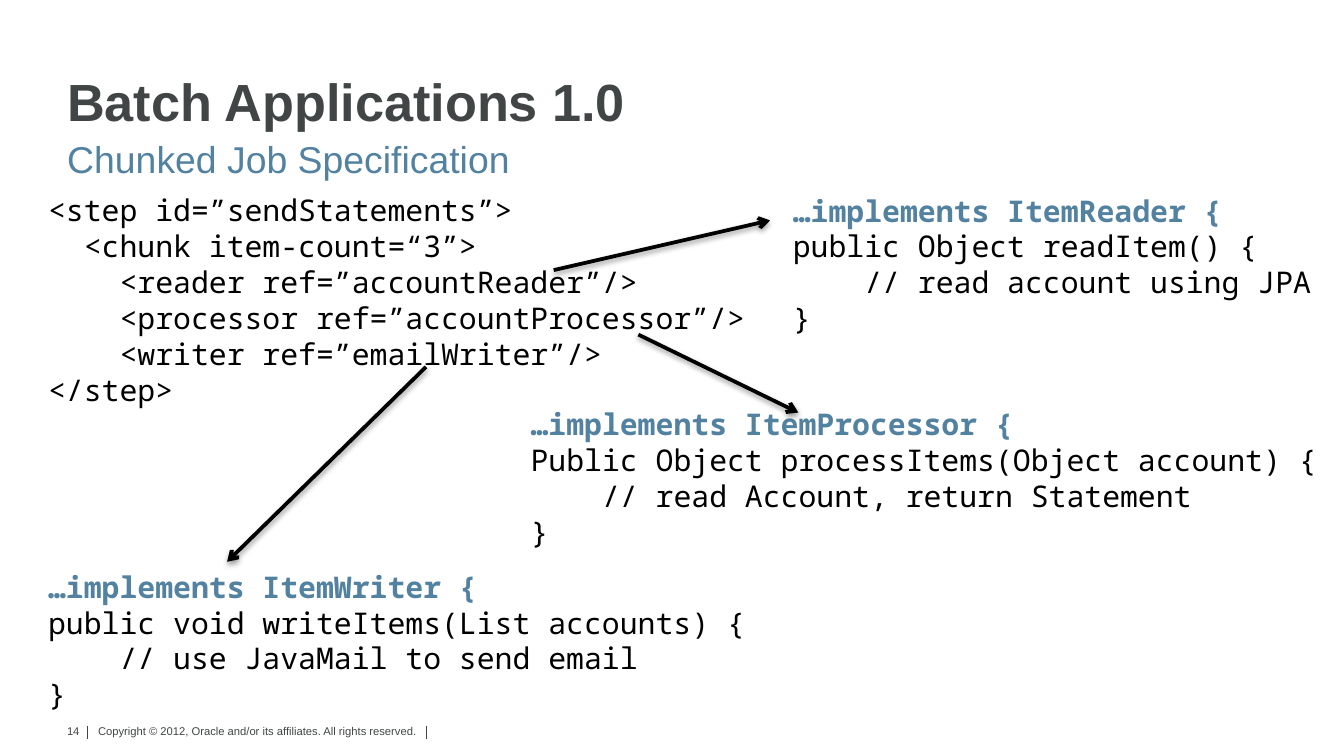
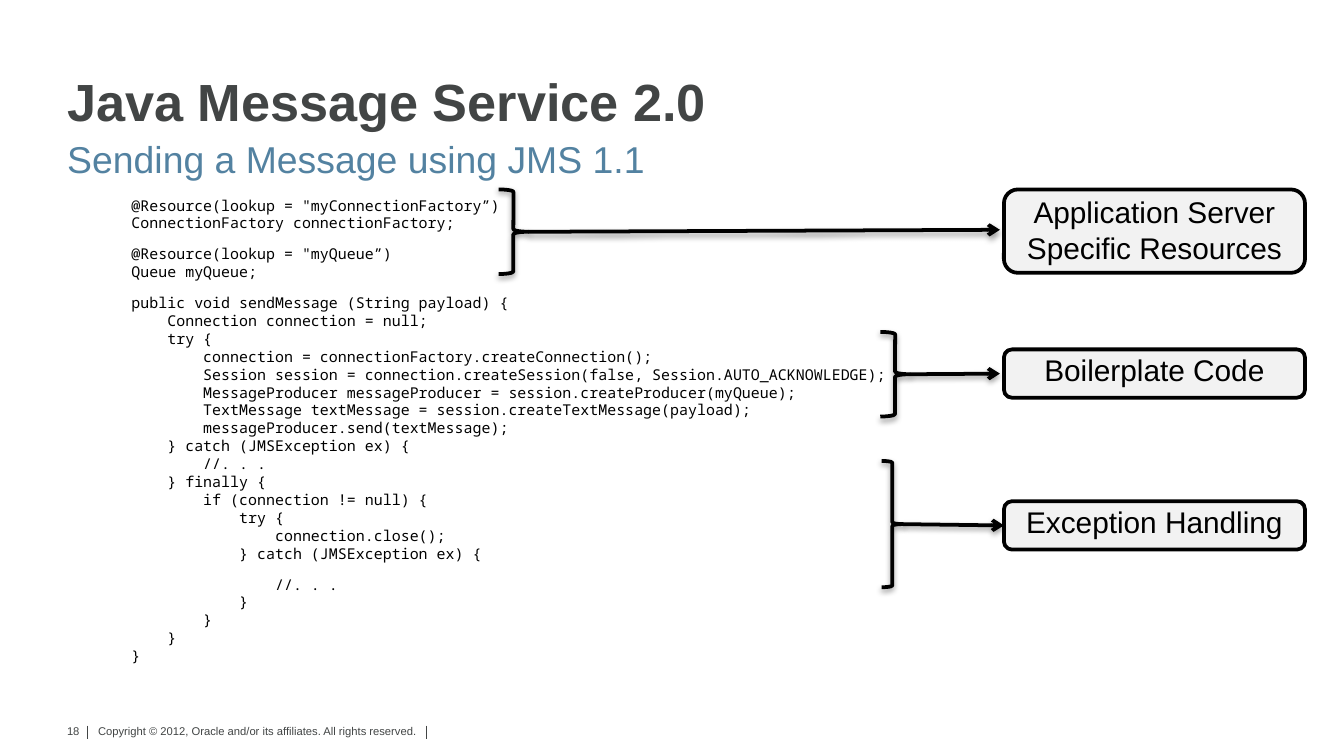
from collections import namedtuple
from copy import deepcopy
from dataclasses import dataclass

from lxml import etree
from pptx import Presentation
from pptx.dml.color import RGBColor
from pptx.enum.shapes import MSO_CONNECTOR as Connector, MSO_SHAPE as Shape
from pptx.enum.text import MSO_ANCHOR as Anchor, MSO_AUTO_SIZE as AutoSize, PP_ALIGN as Align
from pptx.oxml import parse_xml
from pptx.oxml.ns import qn
from pptx.util import Inches, Pt

Box = namedtuple("Box", "left top width height")
Style = namedtuple("Style", "font size color bold", defaults=[False])

DRAWING_NS = "http://schemas.openxmlformats.org/drawingml/2006/main"
SHADOW = f"""<a:effectLst xmlns:a="{DRAWING_NS}">
  <a:outerShdw blurRad="{Pt(3.1)}" dist="{Pt(1.6)}" dir="5400000" rotWithShape="0">
    <a:srgbClr val="000000"><a:alpha val="38000"/></a:srgbClr>
  </a:outerShdw>
</a:effectLst>"""


@dataclass(frozen=True)
class Theme:
    ink: str = "000000"
    grey: str = "424545"
    panel: str = "F2F2F2"
    stroke: float = 2
    hairline: float = 0.5
    title: Style = Style("Arial", 28, "424545", True)
    subtitle: Style = Style("Arial", 20, "5382A1")
    footer: Style = Style("Arial", 6, "424545")
    label: Style = Style("Arial", 16, "000000")
    code: Style = Style("Noto Sans Mono", 16, "000000")
    code_heading: Style = Style("Noto Sans Mono", 16, "5382A1", True)
    small_code: Style = Style("Noto Sans Mono", 8, "000000")


THEME = Theme()
PAGE_WIDTH = 10
PAGE_HEIGHT = PAGE_WIDTH * 9 / 16
STANDARD_INSETS = (0.1, 0.05, 0.1, 0.05)
NO_INSETS = (0, 0, 0, 0)


# Shared text helpers
def inches(box):
    return [Inches(length) for length in box]


def set_insets(frame, insets):
    (frame.margin_left, frame.margin_top,
     frame.margin_right, frame.margin_bottom) = inches(insets)


def add_text(para, text, style):
    """Add one run per line, with line breaks of the same size between them."""
    for number, line in enumerate(text.split("\n")):
        if number:
            para.add_line_break()
        span = para.add_run()
        span.text = line
        span.font.name = style.font
        span.font.size = Pt(style.size)
        span.font.bold = style.bold
        span.font.color.rgb = RGBColor.from_string(style.color)
    for line_break in para._p.findall(qn("a:br")):
        if line_break.find(qn("a:rPr")) is None:
            line_break.append(deepcopy(span._r.rPr))


def write_paragraphs(frame, entries, before=0, after=0):
    """Write one paragraph for each list of (text, style) pieces."""
    for number, pieces in enumerate(entries):
        para = frame.add_paragraph() if number else frame.paragraphs[0]
        para.space_before = Pt(before if number else 0)
        para.space_after = Pt(after)
        for text, style in pieces:
            add_text(para, text, style)


def add_text_box(page, box, entries, insets=STANDARD_INSETS, wrap=True, before=0, after=0):
    frame = page.shapes.add_textbox(*inches(box)).text_frame
    frame.word_wrap = wrap
    set_insets(frame, insets)
    write_paragraphs(frame, entries, before, after)
    return frame


# Shared line helpers
def set_effects(shape, effects):
    properties = shape._element.spPr
    for old in properties.findall(qn("a:effectLst")):
        properties.remove(old)
    properties.append(effects)


def add_line(page, start, end, color, width):
    line = page.shapes.add_connector(Connector.STRAIGHT, *inches(start + end))
    line.line.color.rgb = RGBColor.from_string(color)
    line.line.width = Pt(width)
    set_effects(line, etree.Element(qn("a:effectLst")))
    return line


def add_arrow(page, start, end):
    arrow = add_line(page, start, end, THEME.ink, THEME.stroke)
    etree.SubElement(arrow.line._get_or_add_ln(), qn("a:tailEnd"), type="arrow")
    set_effects(arrow, parse_xml(SHADOW))


# Title and subtitle
def fill_heading(holder, box, text, style, anchor, spacing):
    holder.left, holder.top, holder.width, holder.height = inches(box)
    frame = holder.text_frame
    frame.word_wrap = True
    frame.auto_size = AutoSize.NONE
    frame.vertical_anchor = anchor
    set_insets(frame, NO_INSETS)
    para = frame.paragraphs[0]
    para.alignment = Align.LEFT
    para.line_spacing = spacing
    para.space_before = Pt(0)
    properties = para._p.get_or_add_pPr()
    properties.set("marL", "0")
    properties.set("indent", "0")
    etree.SubElement(properties, qn("a:buNone"))
    add_text(para, text, style)


def add_headings(page, box, title, subtitle):
    fill_heading(page.shapes.title, Box(box.left, box.top, box.width, 0.46),
                 title, THEME.title, Anchor.BOTTOM, 0.9)
    fill_heading(page.placeholders[1], Box(box.left, box.top + 0.48, box.width, 0.33),
                 subtitle, THEME.subtitle, Anchor.TOP, 1.0)


# Footer with page number, dividers and copyright line
def add_footer(page, box, number):
    frame = add_text_box(page, Box(box.left, box.top, 0.3, 0.2),
                         [[(str(number), THEME.footer)]], wrap=False)
    frame.paragraphs[0].alignment = Align.RIGHT
    notice = "Copyright © 2012, Oracle and/or its affiliates. All rights reserved."
    add_text_box(page, Box(box.left + 0.3, box.top + 0.03, 2.74, 0.24),
                 [[(notice, THEME.footer)]], insets=(0.04, 0.02, 0.04, 0.02))
    for offset in (0.26, 2.78):
        x = box.left + offset
        add_line(page, (x, box.top + 0.06), (x, box.top + 0.16), THEME.grey, THEME.hairline)


def add_page(deck, title, subtitle, number):
    page = deck.slides.add_slide(deck.slide_layouts[1])
    add_headings(page, Box(0.5, 0.53, 9, 0.81), title, subtitle)
    add_footer(page, Box(0.39, 5.34, 3.04, 0.27), number)
    return page


# Job specification and the classes it refers to
JOB_STEP = [
    "<step id=”sendStatements”>",
    "  <chunk item-count=“3”>\n    <reader ref=”accountReader”/>",
    "    <processor ref=”accountProcessor”/>\n    <writer ref=”emailWriter”/>",
    "</step>",
]


def add_class(page, box, heading, method, **options):
    add_text_box(page, box, [[(heading, THEME.code_heading)], [(method, THEME.code)],
                             [("}", THEME.code)]], **options)


def build_batch_page(deck):
    page = add_page(deck, "Batch Applications 1.0", "Chunked Job Specification", 14)
    add_text_box(page, Box(0.26, 1.38, 8.42, 1.72),
                 [[(part, THEME.code)] for part in JOB_STEP])
    add_class(page, Box(5.9, 1.43, 4.1, 1.21), "…implements ItemReader {",
              "public Object readItem() {\n    // read account using JPA",
              insets=NO_INSETS, wrap=False)
    add_class(page, Box(3.85, 2.97, 6.3, 1.45), "…implements ItemProcessor {",
              "Public Object processItems(Object account) {\n"
              "    // read Account, return Statement")
    add_class(page, Box(0.26, 4.18, 6.89, 1.45), "…implements ItemWriter {",
              "public void writeItems(List accounts) {\n    // use JavaMail to send email")
    for start, end in [((4.75, 2.49), (5.94, 3.07)),
                       ((4.12, 2.01), (5.73, 1.64)),
                       ((3.17, 2.73), (1.69, 4.18))]:
        add_arrow(page, start, end)


# Code listing with braces that point to labels
LISTING = [
    """@Resource(lookup = "myConnectionFactory”)
ConnectionFactory connectionFactory;""",
    """@Resource(lookup = "myQueue”)
Queue myQueue;""",
    """public void sendMessage (String payload) {
    Connection connection = null;
    try {
        connection = connectionFactory.createConnection();
        Session session = connection.createSession(false, Session.AUTO_ACKNOWLEDGE);
        MessageProducer messageProducer = session.createProducer(myQueue);
        TextMessage textMessage = session.createTextMessage(payload);
        messageProducer.send(textMessage);
    } catch (JMSException ex) {
        //. . .
    } finally {
        if (connection != null) {
            try {
                connection.close();
            } catch (JMSException ex) {""",
    """                //. . .
            }
        }
    }
}""",
]


def add_outlined(page, kind, box):
    shape = page.shapes.add_shape(kind, *inches(box))
    shape.shadow.inherit = False
    shape.line.color.rgb = RGBColor.from_string(THEME.ink)
    shape.line.width = Pt(THEME.stroke)
    return shape


def add_callout(page, brace_box, label_box, tip, text):
    brace = add_outlined(page, Shape.RIGHT_BRACE, brace_box)
    brace.fill.background()
    set_effects(brace, parse_xml(SHADOW))

    label = add_outlined(page, Shape.ROUNDED_RECTANGLE, label_box)
    label.fill.solid()
    label.fill.fore_color.rgb = RGBColor.from_string(THEME.panel)
    frame = label.text_frame
    frame.word_wrap = True
    frame.vertical_anchor = Anchor.TOP
    set_insets(frame, NO_INSETS)
    frame.paragraphs[0].alignment = Align.CENTER
    add_text(frame.paragraphs[0], text, THEME.label)

    middle = brace_box.top + brace_box.height / 2
    add_arrow(page, (brace_box.left + brace_box.width, middle), tip)


def build_messaging_page(deck):
    page = add_page(deck, "Java Message Service 2.0", "Sending a Message using JMS 1.1", 18)
    add_text_box(page, Box(0.88, 1.41, 9, 3.35),
                 [[(block, THEME.small_code)] for block in LISTING], before=5, after=2)
    for brace_box, label_top, label_height, tip, text in [
        (Box(3.71, 1.41, 0.22, 0.63), 1.41, 0.62, (7.44, 1.71),
         "Application Server Specific Resources"),
        (Box(6.55, 2.47, 0.22, 0.63), 2.6, 0.36, (7.44, 2.78), "Boilerplate Code"),
        (Box(6.56, 3.43, 0.16, 0.94), 3.73, 0.36, (7.47, 3.91), "Exception Handling"),
    ]:
        add_callout(page, brace_box, Box(7.47, label_top, 2.24, label_height), tip, text)


def main():
    deck = Presentation()
    deck.slide_width, deck.slide_height = Inches(PAGE_WIDTH), Inches(PAGE_HEIGHT)
    build_batch_page(deck)
    build_messaging_page(deck)
    deck.save("out.pptx")


if __name__ == "__main__":
    main()
